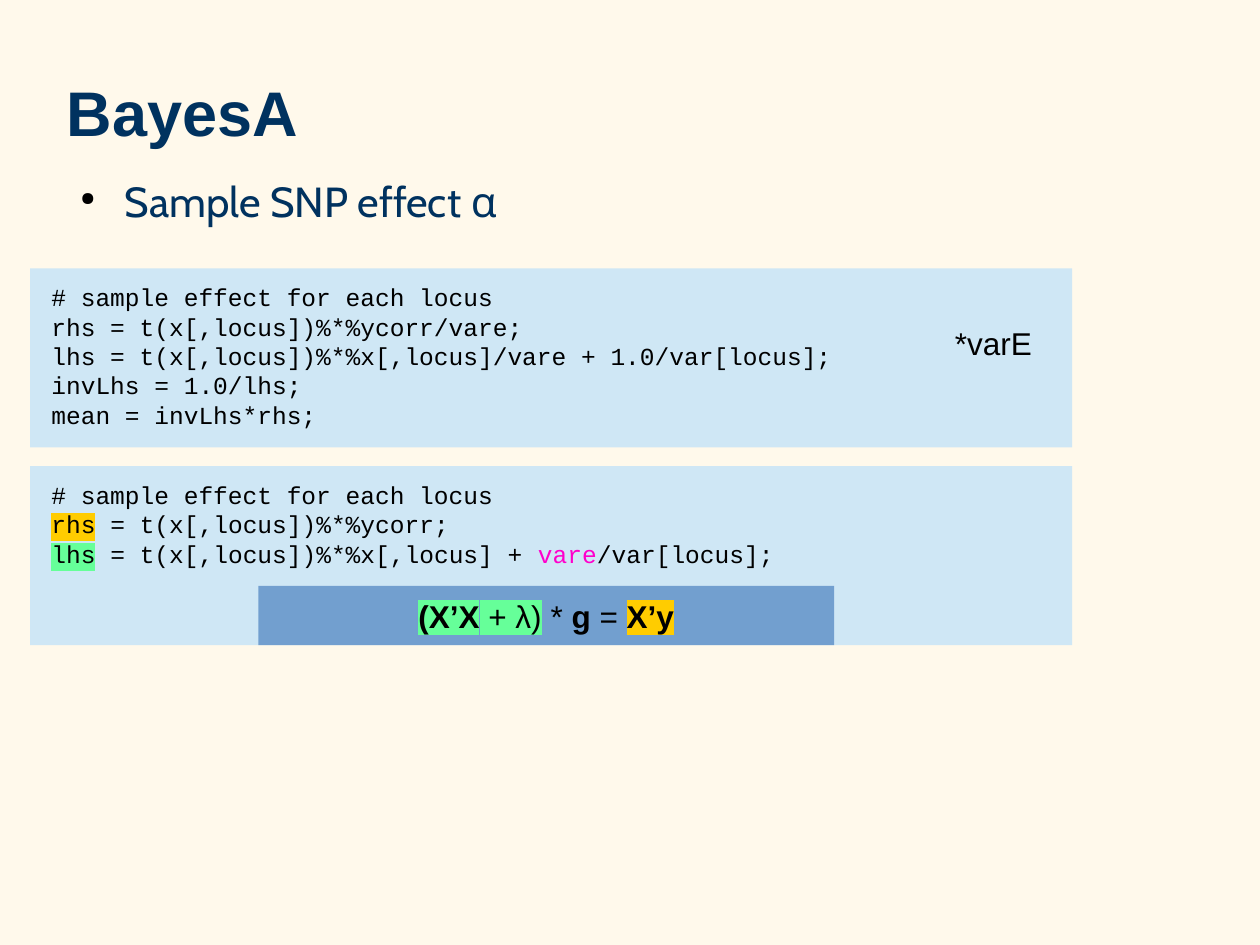
import pptx
import pptx.dml.color
import pptx.enum.shapes
import pptx.enum.text
import pptx.oxml.ns
import pptx.util
from lxml import etree

Inches = pptx.util.Inches
Pt = pptx.util.Pt
qn = pptx.oxml.ns.qn
ANCHOR = pptx.enum.text.MSO_ANCHOR
ALIGN = pptx.enum.text.PP_ALIGN

COLORS = {
    "background": "FFF9EB",
    "heading": "00325F",
    "text": "000000",
    "panel": "CFE7F5",
    "formula": "729FCF",
    "right": "FFCC00",
    "left": "66FF99",
    "variance": "FF00CC",
}
TITLE = {"name": "Arial", "size": Pt(36), "bold": True, "color": "heading"}
BULLET = {"name": "Cabin", "size": Pt(24), "color": "heading"}
CODE = {"name": "Courier New", "size": Pt(14), "color": "text"}
LABEL = {"name": "Arial", "size": Pt(18), "color": "text"}
STRONG = {**LABEL, "bold": True}

FIRST_CODE = [
    [("# sample effect for each locus", CODE)],
    [("rhs = t(x[,locus])%*%ycorr/vare;", CODE)],
    [("lhs = t(x[,locus])%*%x[,locus]/vare + 1.0/var[locus];", CODE)],
    [("invLhs = 1.0/lhs;", CODE)],
    [("mean = invLhs*rhs;", CODE)],
]
SECOND_CODE = [
    [("# sample effect for each locus", CODE)],
    [("rhs", {**CODE, "highlight": "right"}), (" = t(x[,locus])%*%ycorr;", CODE)],
    [("lhs", {**CODE, "highlight": "left"}),
     (" = t(x[,locus])%*%x[,locus] + ", CODE),
     ("vare", {**CODE, "color": "variance"}),
     ("/var[locus];", CODE)],
]
FORMULA = [[
    ("(X’X", {**STRONG, "highlight": "left"}),
    (" + λ)", {**LABEL, "highlight": "left"}),
    (" * ", LABEL),
    ("g", STRONG),
    (" = ", LABEL),
    ("X’y", {**STRONG, "highlight": "right"}),
]]


def rgb(name):
    return pptx.dml.color.RGBColor.from_string(COLORS[name])


def add_span(para, text, look):
    span = para.add_run()
    span.text = text
    for key, value in look.items():
        if key == "color":
            span.font.color.rgb = rgb(value)
        elif key != "highlight":
            setattr(span.font, key, value)
    if "highlight" in look:
        # The highlight must directly follow the text fill
        mark = etree.Element(qn("a:highlight"))
        etree.SubElement(mark, qn("a:srgbClr"), val=COLORS[look["highlight"]])
        span.font._element.find(qn("a:solidFill")).addnext(mark)


def write(shape, lines, anchor=ANCHOR.TOP, align=ALIGN.LEFT, wrap=True):
    frame = shape.text_frame
    frame.word_wrap = wrap
    frame.vertical_anchor = anchor
    for index, line in enumerate(lines):
        para = frame.add_paragraph() if index else frame.paragraphs[0]
        para.alignment = align
        for text, look in line:
            add_span(para, text, look)
    return frame


def add_text(page, box, lines, **layout):
    return write(page.shapes.add_textbox(*map(Inches, box)), lines, **layout)


def add_block(page, box, fill):
    block = page.shapes.add_shape(
        pptx.enum.shapes.MSO_SHAPE.RECTANGLE, *map(Inches, box))
    block.shadow.inherit = False
    block.fill.solid()
    block.fill.fore_color.rgb = rgb(fill)
    block.line.fill.background()
    return block


def add_bullet_point(page, box):
    line = [("Sample SNP effect ", BULLET), ("α", {**BULLET, "name": "Noto Sans"})]
    para = add_text(page, box, [line]).paragraphs[0]
    para.space_before = Pt(14.2)
    props = para._p.get_or_add_pPr()
    props.set("marL", str(Inches(0.47)))
    props.set("indent", str(Inches(-0.35)))
    color = etree.SubElement(props, qn("a:buClr"))
    etree.SubElement(color, qn("a:srgbClr"), val=COLORS["text"])
    etree.SubElement(props, qn("a:buSzPct"), val="45000")
    etree.SubElement(props, qn("a:buChar"), char="●")


def add_code_panel(page, box, lines):
    left, top, width, height = box
    add_block(page, box, "panel")
    add_text(page, (left + 0.07, top + 0.06, width - 0.11, height - 0.06), lines)


def add_formula(page, box):
    write(add_block(page, box, "formula"), FORMULA,
          anchor=ANCHOR.MIDDLE, align=ALIGN.CENTER, wrap=False)


def main():
    deck = pptx.Presentation()
    deck.slide_width, deck.slide_height = Inches(10), Inches(7.5)
    page = deck.slides.add_slide(deck.slide_layouts[6])
    page.background.fill.solid()
    page.background.fill.fore_color.rgb = rgb("background")

    # Heading and bullet point
    add_text(page, (0.43, 0.52, 9.07, 0.71), [[("BayesA", TITLE)]],
             anchor=ANCHOR.BOTTOM)
    add_bullet_point(page, (0.42, 1.34, 9.08, 0.6))

    # Code before and after multiplying by the error variance
    add_code_panel(page, (0.24, 2.13, 8.27, 1.42), FIRST_CODE)
    add_text(page, (7.48, 2.52, 1.97, 0.38), [[("*varE", LABEL)]])
    add_code_panel(page, (0.24, 3.7, 8.27, 1.42), SECOND_CODE)

    # Matching matrix equation
    add_formula(page, (2.05, 4.65, 4.57, 0.47))
    deck.save("out.pptx")


if __name__ == "__main__":
    main()
